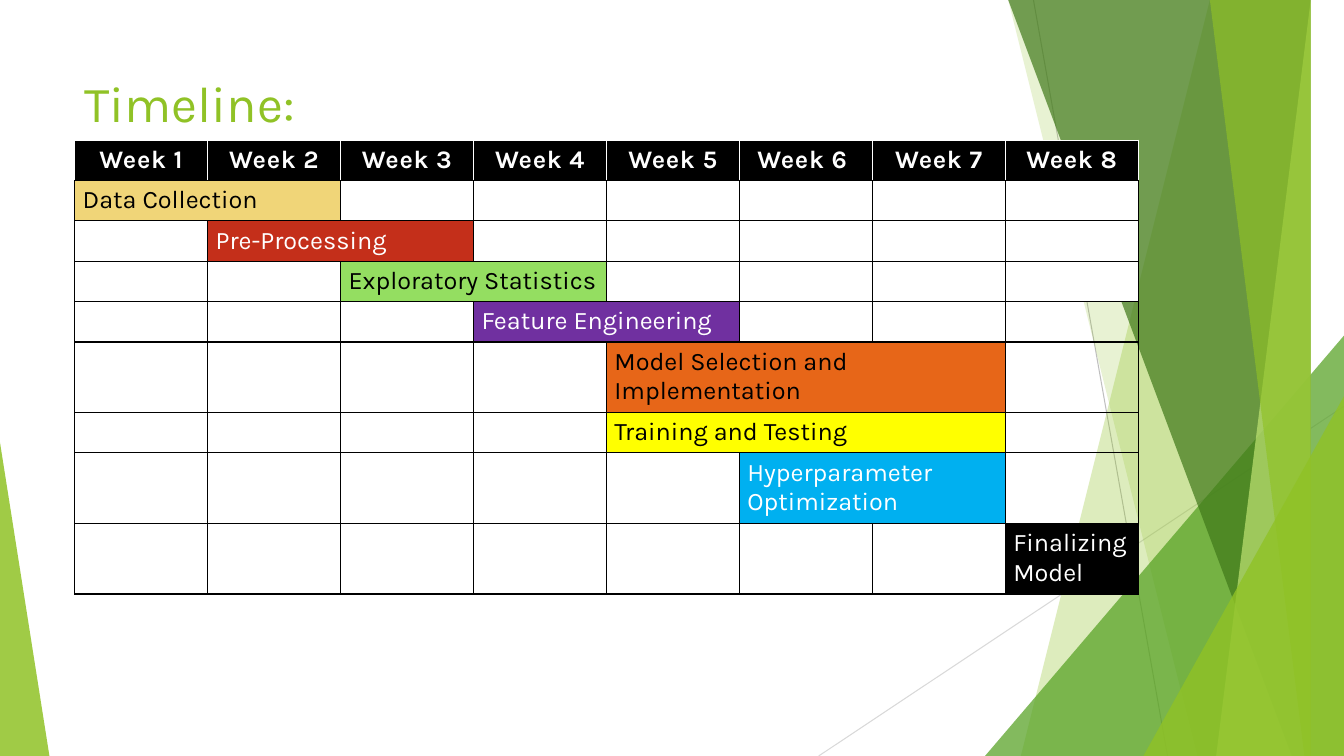
from lxml.etree import SubElement
from pptx import Presentation
from pptx.dml.color import RGBColor
from pptx.enum.shapes import MSO_CONNECTOR, MSO_SHAPE
from pptx.enum.text import PP_ALIGN
from pptx.oxml import parse_xml
from pptx.oxml.ns import nsdecls, qn
from pptx.util import Inches, Pt

FONT = "Karla"
BLACK = RGBColor(0x00, 0x00, 0x00)
WHITE = RGBColor(0xFF, 0xFF, 0xFF)
HEADER_TEXT = RGBColor(0xFE, 0xFE, 0xFE)
LIME = RGBColor(0x90, 0xC2, 0x26)
PALE_LIME = RGBColor(0xC0, 0xE4, 0x74)
GREEN = RGBColor(0x54, 0xA0, 0x21)
DARK_GREEN = RGBColor(0x3F, 0x78, 0x19)
GRAY = RGBColor(0xBF, 0xBF, 0xBF)
LIGHT_GRAY = RGBColor(0xD9, 0xD9, 0xD9)
SAND = RGBColor(0xF0, 0xD5, 0x78)
RED = RGBColor(0xC4, 0x2F, 0x1A)
LIGHT_GREEN = RGBColor(0x94, 0xDE, 0x61)
PURPLE = RGBColor(0x70, 0x30, 0xA0)
ORANGE = RGBColor(0xE7, 0x66, 0x18)
YELLOW = RGBColor(0xFF, 0xFF, 0x00)
BLUE = RGBColor(0x00, 0xB0, 0xF0)

TITLE = "Timeline:"
WEEKS = ["Week 1", "Week 2", "Week 3", "Week 4", "Week 5", "Week 6 ", "Week 7", "Week 8"]
# name, first week, weeks, fill, text colour, row height, weeks without fill
TASKS = [
    ("Data Collection", 1, 2, SAND, BLACK, 0.4, (3,)),
    ("Pre-Processing", 2, 2, RED, WHITE, 0.4, (4, 5)),
    ("Exploratory Statistics", 3, 2, LIGHT_GREEN, BLACK, 0.4, (6, 7)),
    ("Feature Engineering", 4, 2, PURPLE, WHITE, 0.4, (8,)),
    ("Model Selection and Implementation", 5, 3, ORANGE, BLACK, 0.69, (8,)),
    ("Training and Testing", 5, 3, YELLOW, BLACK, 0.4, (8,)),
    ("Hyperparameter Optimization", 6, 2, BLUE, WHITE, 0.69, (8,)),
    ("Finalizing Model", 8, 1, BLACK, WHITE, 0.69, ()),
]
HEADER_HEIGHT = 0.4
TABLE_LEFT, TABLE_TOP, TABLE_WIDTH = 0.74, 1.39, 10.55

RIGHT, TOP, BOTTOM = 13.33, -0.01, 7.5
RAYS = [((10.25, 0), (11.58, BOTTOM), GRAY), ((RIGHT, 4.03), (8.12, BOTTOM), LIGHT_GRAY)]
# bands: top left, bottom left; triangles: left, top, width, height, apex
FACETS = [
    ("band", (12.28, 10.04), LIME, 30),
    ("band", (10.5, 11.83), LIME, 20),
    ("triangle", (9.77, 3.33, 3.56, 4.17, 1), GREEN, 72),
    ("band", (10.21, 12.91), DARK_GREEN, 70),
    ("band", (13.03, 11.92), PALE_LIME, 70),
    ("band", (11.96, 13.18), LIME, 65),
    ("triangle", (11.34, 3.93, 1.99, 3.57, 1), LIME, 80),
    ("triangle", (0, 4.39, 0.49, 3.11, 0), LIME, 85),
]


def add_ray(s, start, end, color):
    line = s.shapes.add_connector(MSO_CONNECTOR.STRAIGHT, *map(Inches, start + end))
    line.line.color.rgb = color
    line.line.width = Pt(0.75)
    SubElement(line._element.spPr, qn("a:effectLst"))


def add_facet(s, kind, geometry, color, opacity):
    if kind == "band":
        top_left, bottom_left = geometry
        outline = s.shapes.build_freeform(top_left, TOP, scale=Inches(1))
        outline.add_line_segments([(RIGHT, TOP), (RIGHT, BOTTOM), (bottom_left, BOTTOM)])
        sp = outline.convert_to_shape()
    else:
        sp = s.shapes.add_shape(MSO_SHAPE.ISOSCELES_TRIANGLE, *map(Inches, geometry[:4]))
        sp.adjustments[0] = geometry[4]
    sp.shadow.inherit = False
    sp.line.fill.background()
    sp.fill.solid()
    sp.fill.fore_color.rgb = color
    clr = sp._element.spPr.find(".//" + qn("a:srgbClr"))
    SubElement(clr, qn("a:alpha")).set("val", str(opacity * 1000))


def add_text(p, text, size, color):
    r = p.add_run()
    r.text = text
    r.font.name = FONT
    r.font.size = Pt(size)
    r.font.color.rgb = color
    return r


def fill_cell(cell, color):
    if color is None:
        cell.fill.background()
    else:
        cell.fill.solid()
        cell.fill.fore_color.rgb = color
    cell.margin_left = cell.margin_right = Inches(0.08)
    cell.margin_top = cell.margin_bottom = Inches(0.05)


def add_borders(cell):
    tcPr = cell._tc.get_or_add_tcPr()
    for i, side in enumerate(("lnL", "lnR", "lnT", "lnB")):
        tcPr.insert(i, parse_xml(
            f'<a:{side} {nsdecls("a")} w="{Pt(1)}"><a:solidFill>'
            f'<a:srgbClr val="{BLACK}"/></a:solidFill></a:{side}>'))


def add_timeline(s):
    heights = [HEADER_HEIGHT] + [task[5] for task in TASKS]
    table = s.shapes.add_table(
        len(heights), len(WEEKS), Inches(TABLE_LEFT), Inches(TABLE_TOP),
        Inches(TABLE_WIDTH), Inches(sum(heights))).table
    table.horz_banding = False
    for row, height in zip(table.rows, heights):
        row.height = Inches(height)
    for col, week in enumerate(WEEKS):
        cell = table.cell(0, col)
        fill_cell(cell, BLACK)
        p = cell.text_frame.paragraphs[0]
        p.alignment = PP_ALIGN.CENTER
        r = add_text(p, week, 18, HEADER_TEXT)
        r.font.bold = True
        r._r.get_or_add_rPr().set("spc", "50")
    for row, (name, first, span, fill, color, _, clear) in enumerate(TASKS, 1):
        for week in range(1, len(WEEKS) + 1):
            cell = table.cell(row, week - 1)
            active = first <= week < first + span
            fill_cell(cell, fill if active else None if week in clear else WHITE)
            add_borders(cell)
        bar = table.cell(row, first - 1)
        if span > 1:
            bar.merge(table.cell(row, first + span - 2))
        add_text(bar.text_frame.paragraphs[0], name, 18, color).font.bold = False


def main():
    prs = Presentation()
    prs.slide_width, prs.slide_height = Inches(13.33), Inches(7.5)
    s = prs.slides.add_slide(prs.slide_layouts[6])
    for ray in RAYS:
        add_ray(s, *ray)
    for facet in FACETS:
        add_facet(s, *facet)
    tf = s.shapes.add_textbox(*map(Inches, (0.74, 0.67, 9.4, 1.44))).text_frame
    tf.word_wrap = True
    add_text(tf.paragraphs[0], TITLE, 36, LIME)
    add_timeline(s)
    prs.save("out.pptx")


if __name__ == "__main__":
    main()
